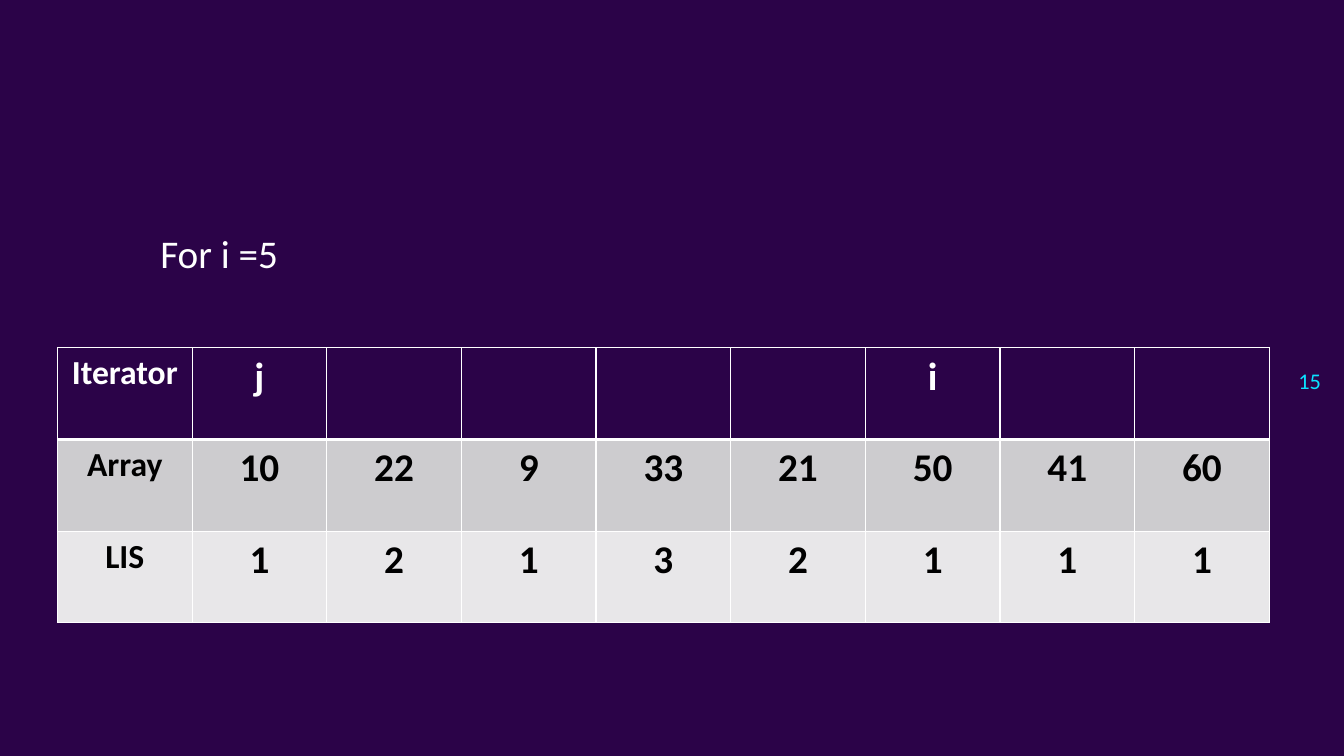
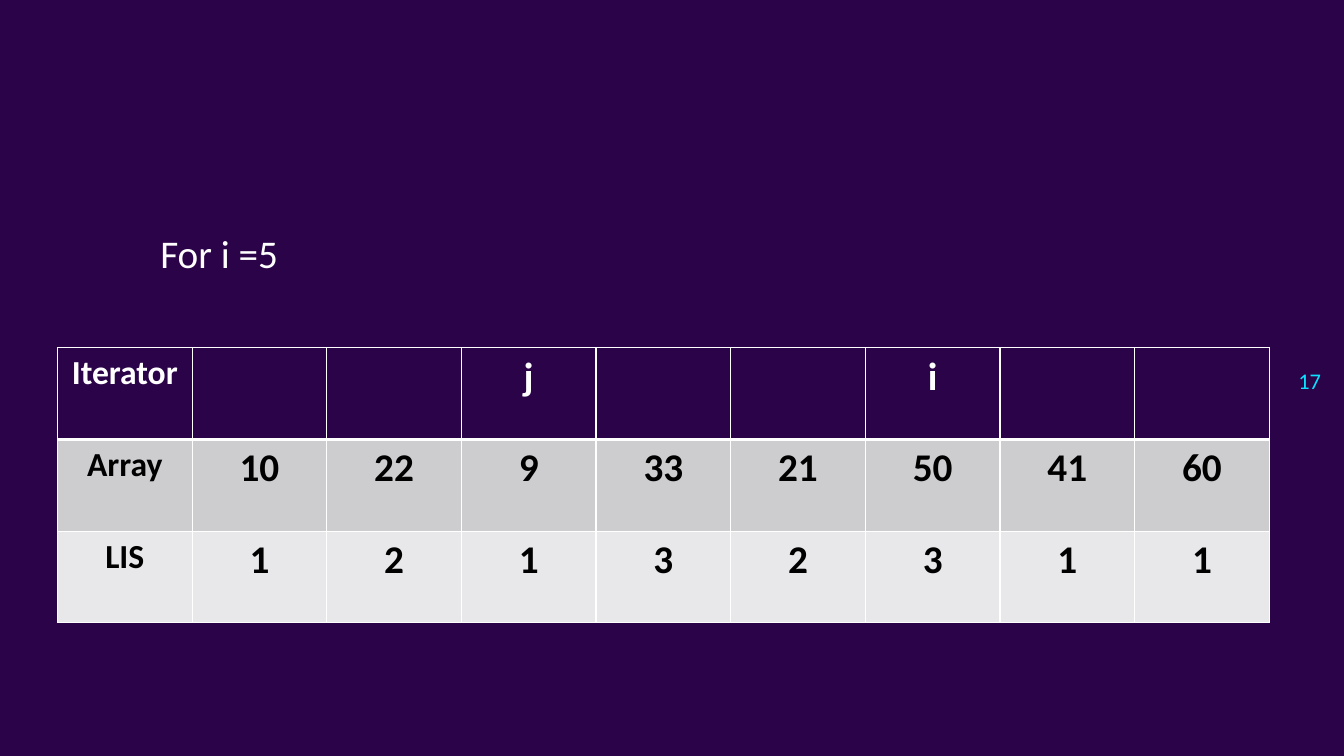
from lxml import etree
from pptx import Presentation
from pptx import util as u
from pptx.dml.color import RGBColor
from pptx.enum import text
from pptx.oxml import ns

COLORS = {
    "purple": "2B0348",
    "white": "FFFFFF",
    "black": "000000",
    "cyan": "0BE1FF",
    "band_dark": "CDCCCF",
    "band_light": "E8E7E9",
}


def rgb(name):
    return RGBColor.from_string(COLORS[name])


class Deck:
    font = "Calibri"
    row_styles = [("purple", "white"), ("band_dark", "black"), ("band_light", "black")]

    def __init__(self):
        self.prs = Presentation()
        self.prs.slide_width = u.Inches(13.33)
        self.prs.slide_height = u.Inches(7.5)
        fill = self.prs.slide_master.background.fill
        fill.solid()
        fill.fore_color.rgb = rgb("purple")
        self.s = None

    def add_slide(self):
        layout = self.prs.slide_layouts.get_by_name("Title Only")
        self.s = self.prs.slides.add_slide(layout)

    def set_text(self, tf, content, size, color, align, bold=False):
        tf.text = content
        p = tf.paragraphs[0]
        p.alignment = align
        p.font.name = self.font
        p.font.size = u.Pt(size)
        p.font.bold = bold
        p.font.color.rgb = rgb(color)
        return p

    def title(self, content):
        sp = self.s.shapes.title
        sp.left, sp.top = u.Inches(1.49), u.Inches(1.99)
        sp.width, sp.height = u.Inches(7.99), u.Inches(1.23)
        tf = sp.text_frame
        tf.auto_size = text.MSO_AUTO_SIZE.NONE
        tf.vertical_anchor = text.MSO_ANCHOR.TOP
        p = self.set_text(tf, content, 28, "white", text.PP_ALIGN.LEFT)
        p.line_spacing = 1.5

    def page_number(self, number):
        sp = self.s.shapes.add_textbox(
            u.Inches(12.6), u.Inches(3.46), u.Inches(0.6), u.Inches(0.63))
        tf = sp.text_frame
        tf.word_wrap = True
        tf.vertical_anchor = text.MSO_ANCHOR.MIDDLE
        self.set_text(tf, str(number), 16, "cyan", text.PP_ALIGN.RIGHT)

    def borders(self, cell, top, bottom):
        tc_pr = cell._tc.get_or_add_tcPr()
        for side, width in (("L", 1), ("R", 1), ("T", top), ("B", bottom)):
            ln = etree.SubElement(tc_pr, ns.qn(f"a:ln{side}"), w=str(u.Pt(width)))
            fill = etree.SubElement(ln, ns.qn("a:solidFill"))
            etree.SubElement(fill, ns.qn("a:srgbClr"), val=COLORS["white"])

    def table(self, rows):
        table = self.s.shapes.add_table(
            len(rows), len(rows[0]), u.Inches(0.57), u.Inches(3.45),
            u.Inches(12.02), u.Inches(2.73)).table
        for r, (row, (band, color)) in enumerate(zip(rows, self.row_styles)):
            for c, value in enumerate(row):
                cell = table.cell(r, c)
                self.borders(cell, 3 if r == 1 else 1, 3 if r == 0 else 1)
                cell.fill.solid()
                cell.fill.fore_color.rgb = rgb(band)
                self.set_text(cell.text_frame, str(value), 28 if c else 24, color,
                              text.PP_ALIGN.CENTER, bold=True)


ARRAY = [10, 22, 9, 33, 21, 50, 41, 60]


def add_step(deck, page, i, j, lis):
    marks = {i: "i", j: "j"}
    deck.add_slide()
    deck.page_number(page)
    deck.title(f"For i ={i}")
    deck.table([
        ["Iterator"] + [marks.get(k, "") for k in range(len(ARRAY))],
        ["Array"] + ARRAY,
        ["LIS"] + lis,
    ])


def main():
    deck = Deck()
    add_step(deck, page=15, i=5, j=0, lis=[1, 2, 1, 3, 2, 1, 1, 1])
    add_step(deck, page=17, i=5, j=2, lis=[1, 2, 1, 3, 2, 3, 1, 1])
    deck.prs.save("out.pptx")


if __name__ == "__main__":
    main()
